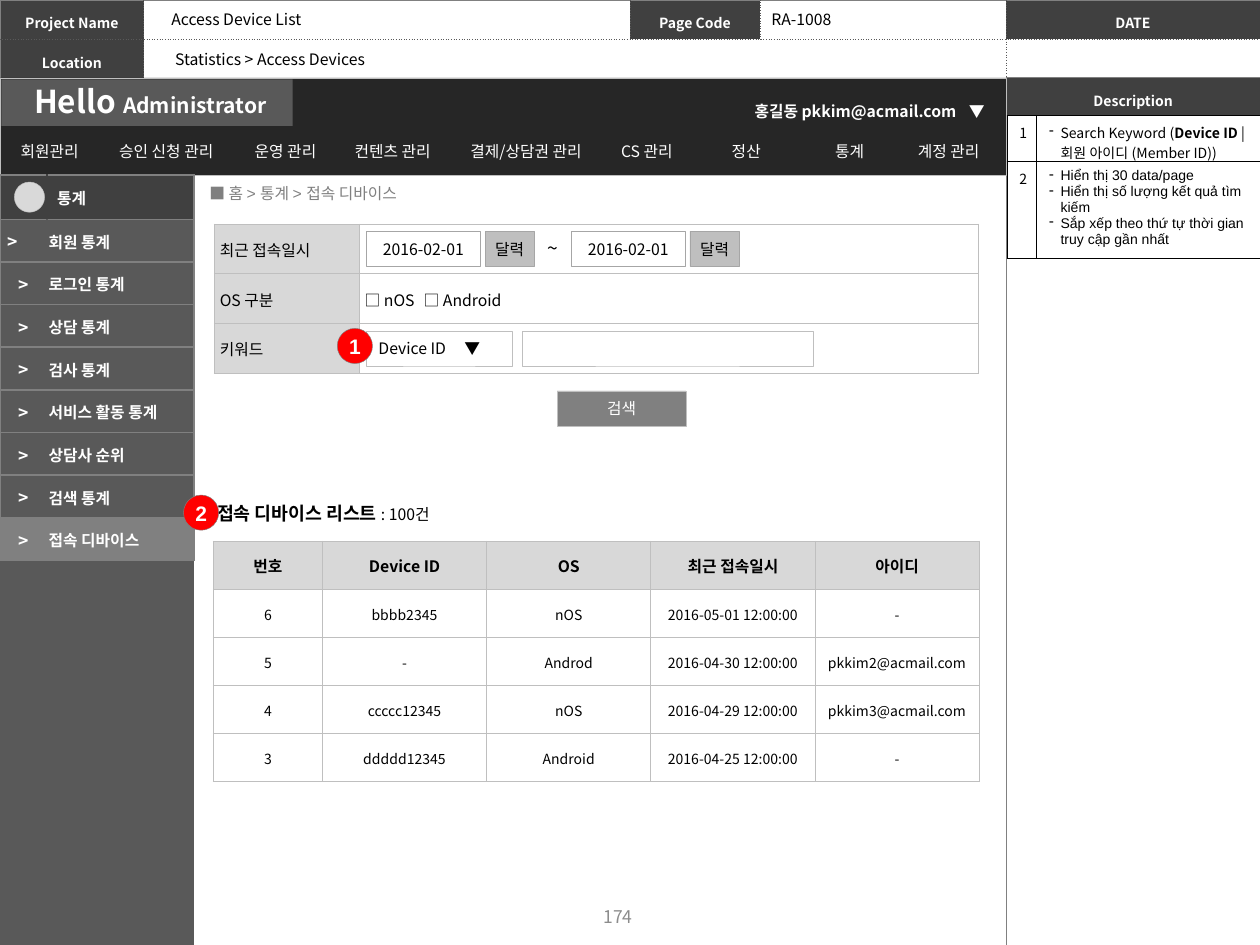
from lxml.etree import SubElement
from pptx import Presentation
from pptx.dml.color import RGBColor
from pptx.enum.shapes import MSO_SHAPE
from pptx.enum.text import MSO_ANCHOR, MSO_AUTO_SIZE, PP_ALIGN
from pptx.oxml.ns import qn
from pptx.util import Cm, Pt

KOREAN = "Noto Sans CJK KR"
WHITE, BLACK, RED = "FFFFFF", "000000", "FF0000"
CHARCOAL, DARK, SLATE, GREY = "262626", "404040", "595959", "808080"
MIDDLE, SILVER, PALE = "A6A6A6", "BFBFBF", "D8D8D8"
SOLID, DOTTED = (GREY, 0.5), (SLATE, 0.5, "sysDot")
LEFT, CENTER = PP_ALIGN.LEFT, PP_ALIGN.CENTER
TIGHT = (0.03, 0.03, 0.03, 0)
INSET = (0.25, 0.13, 0.25, 0.13)


def color(value):
    """Turn a hex string into a colour."""
    return RGBColor.from_string(value)


def write(frame, *paragraphs, size=9, ink=BLACK, bold=False, font=KOREAN,
          align=LEFT, spacing=None, bullet=None, tab=None):
    """Write paragraphs, each a string or a list of (text, bold, size) runs."""
    for index, content in enumerate(paragraphs):
        paragraph = frame.add_paragraph() if index else frame.paragraphs[0]
        properties = paragraph._p.get_or_add_pPr()
        if bullet:
            properties.set("marL", str(Cm(0.23)))
            properties.set("indent", str(-Cm(0.23)))
            SubElement(properties, qn("a:buChar"), char=bullet)
        if tab:
            stops = SubElement(properties, qn("a:tabLst"))
            SubElement(stops, qn("a:tab"), pos=str(Cm(tab)), algn="l")
        paragraph.alignment = align
        if spacing:
            paragraph.line_spacing = spacing
        if not content:
            SubElement(paragraph._p, qn("a:endParaRPr"), sz=str(size * 100))
            continue
        runs = [(content, bold, size)] if isinstance(content, str) else content
        for text, run_bold, run_size in runs:
            run = paragraph.add_run()
            run.text = text
            run.font.name, run.font.size, run.font.bold = font, Pt(run_size), run_bold
            run.font.color.rgb = color(ink)
            SubElement(run._r.get_or_add_rPr(), qn("a:ea"), typeface=KOREAN)


def set_margins(target, margins):
    """Set the left, top, right and bottom margins in centimetres."""
    (target.margin_left, target.margin_top,
     target.margin_right, target.margin_bottom) = map(Cm, margins)


def add_text(slide, left, top, width, height, *paragraphs, wrap=False,
             anchor=MSO_ANCHOR.TOP, margins=INSET, **format):
    """Add a text box."""
    shape = slide.shapes.add_textbox(Cm(left), Cm(top), Cm(width), Cm(height))
    frame = shape.text_frame
    frame.word_wrap = wrap
    frame.auto_size = MSO_AUTO_SIZE.NONE if wrap else MSO_AUTO_SIZE.SHAPE_TO_FIT_TEXT
    frame.vertical_anchor = anchor
    set_margins(frame, margins)
    write(frame, *paragraphs, **format)


def add_box(slide, left, top, width, height, fill, line=None, text="",
            kind=MSO_SHAPE.RECTANGLE, wrap=False, **format):
    """Add a filled preset shape with optional text."""
    shape = slide.shapes.add_shape(kind, Cm(left), Cm(top), Cm(width), Cm(height))
    shape.shadow.inherit = False
    shape.fill.solid()
    shape.fill.fore_color.rgb = color(fill)
    if line:
        shape.line.color.rgb = color(line)
        shape.line.width = Pt(0.25)
    else:
        shape.line.fill.background()
    if text:
        shape.text_frame.word_wrap = wrap
        shape.text_frame.vertical_anchor = MSO_ANCHOR.MIDDLE
        write(shape.text_frame, text, **{"align": CENTER, **format})


def add_badge(slide, left, top, number):
    """Add a numbered red circle."""
    add_box(slide, left, top, 0.71, 0.71, RED, GREY, number, MSO_SHAPE.OVAL,
            size=12, ink=WHITE, bold=True, font="Arial")


def add_table(slide, left, top, widths, heights):
    """Add a plain table with the given column widths and row heights."""
    table = slide.shapes.add_table(len(heights), len(widths), Cm(left), Cm(top),
                                   Cm(sum(widths)), Cm(sum(heights))).table
    table.first_row = table.horz_banding = False
    for column, width in zip(table.columns, widths):
        column.width = Cm(width)
    for row, height in zip(table.rows, heights):
        row.height = Cm(height)
    return table


def fill_cell(cell, *paragraphs, borders, fill=None, margins=TIGHT,
              anchor=MSO_ANCHOR.MIDDLE, **format):
    """Format a cell; borders run left, right, top, bottom."""
    set_margins(cell, margins)
    cell.vertical_anchor = anchor
    properties = cell._tc.get_or_add_tcPr()
    for side, (ink, width, *dash) in zip("LRTB", borders):
        line = SubElement(properties, qn("a:ln" + side), w=str(Pt(width)))
        SubElement(SubElement(line, qn("a:solidFill")), qn("a:srgbClr"), val=ink)
        SubElement(line, qn("a:prstDash"), val=dash[0] if dash else "solid")
    if fill:
        cell.fill.solid()
        cell.fill.fore_color.rgb = color(fill)
    else:
        cell.fill.background()
    write(cell.text_frame, *paragraphs, **format)


def add_form_table(slide, left, top, widths, heights, rows):
    """Add a table with solid outer and dotted inner borders and dark labels."""
    table = add_table(slide, left, top, widths, heights)
    last_row, last_column = len(heights) - 1, len(widths) - 1
    for r, row in enumerate(rows):
        for c, text in enumerate(row):
            outer = (c == 0, c == last_column, r == 0, r == last_row)
            fill_cell(table.cell(r, c), text, borders=[SOLID if edge else DOTTED for edge in outer],
                      fill=DARK if text else None, margins=(0.1,) * 4, size=8,
                      ink=WHITE, bold=True, align=CENTER, spacing=1.3)
    return table


def add_header(slide):
    """Add the page frame, the banner and the main menu."""
    table = add_form_table(slide, 0, 0, [2.9, 9.8, 2.62, 4.96, 5.12], [0.79, 0.79],
                           [["Project Name", "", "Page Code", "", "DATE"],
                            ["Location", "", "", "", ""]])
    table.cell(1, 1).merge(table.cell(1, 3))
    add_form_table(slide, 20.29, 1.57, [5.11], [0.79, 16.69], [["Description"], [""]])
    add_box(slide, 0, 1.57, 20.29, 1.96, CHARCOAL, SILVER)
    add_box(slide, 0.03, 1.6, 5.87, 0.94, SLATE)
    add_text(slide, 0.44, 1.52, 5.31, 1.02,
             [("Hello ", True, 18), ("Administrator", True, 12)], ink=WHITE)
    menu = ["회원관리", "승인 신청 관리", "운영 관리", "컨텐츠 관리", "결제/상담권 관리",
            "CS 관리", "정산", "통계", "계정 관리"]
    table = add_table(slide, 0.05, 2.64,
                      [1.9, 2.8, 2.01, 2.31, 3.07, 1.8, 2.21, 1.96, 2.03], [0.79])
    for cell, text in zip(table.rows[0].cells, menu):
        fill_cell(cell, text, borders=[(CHARCOAL, 1)] * 4, margins=INSET,
                  ink=WHITE, align=CENTER)
    add_text(slide, 14.78, 1.85, 4.93, 0.66, "홍길동 pkkim@acmail.com",
             margins=(0, 0.13, 0, 0.13), ink=WHITE, bold=True, align=CENTER, spacing=1.2)
    add_text(slide, 19.28, 1.85, 0.84, 0.66, "▼", ink=WHITE, bold=True, spacing=1.2)
    add_text(slide, 15.3, 0.07, 1.75, 0.64, "RA-1008")
    add_text(slide, 3.28, 0.87, 4.37, 0.64, "Statistics > Access Devices")


def add_search_form(slide):
    """Add the search conditions and the search button."""
    borders = [(SILVER, 0.5)] * 4
    table = add_table(slide, 4.32, 4.52, [2.92, 12.48], [1] * 3)
    choices = ["", "□ nOS\t□ Android", ""]
    for row, label, choice in zip(table.rows, ["최근 접속일시", "OS 구분", "키워드"], choices):
        fill_cell(row.cells[0], label, borders=borders, fill=PALE, margins=(0.11, 0.03, 0.03, 0))
        fill_cell(row.cells[1], choice, borders=borders, margins=(0.11, 0.03, 0.03, 0), tab=1.19)
    for left in (7.38, 11.51):
        add_box(slide, left, 4.66, 2.31, 0.71, WHITE, MIDDLE, "2016-02-01")
        add_box(slide, left + 2.4, 4.66, 0.99, 0.71, SILVER, MIDDLE, "달력")
    add_text(slide, 10.78, 4.64, 0.79, 0.74, "~", size=11)
    add_box(slide, 10.52, 6.67, 5.87, 0.71, WHITE, SILVER)
    add_box(slide, 7.38, 6.67, 2.95, 0.71, WHITE, SILVER, "Device ID\t▼",
            wrap=True, align=LEFT, tab=1.73)
    add_badge(slide, 6.8, 6.62, "1")
    add_box(slide, 11.23, 7.88, 2.6, 0.71, GREY, SILVER, "검색", ink=WHITE)


def add_device_list(slide):
    """Add the list heading and the table of devices."""
    add_text(slide, 4.13, 9.99, 5.31, 0.71,
             [("접속 디바이스 리스트 ", True, 10.5), (": 100건", False, 9)])
    rows = [["번호", "Device ID", "OS", "최근 접속일시", "아이디"],
            ["6", "bbbb2345", "nOS", "2016-05-01 12:00:00", "-"],
            ["5", "-", "Androd", "2016-04-30 12:00:00", "pkkim2@acmail.com"],
            ["4", "ccccc12345", "nOS", "2016-04-29 12:00:00", "pkkim3@acmail.com"],
            ["3", "ddddd12345", "Android", "2016-04-25 12:00:00", "-"]]
    table = add_table(slide, 4.3, 10.91, [2.2] + [3.31] * 4, [0.97] * 5)
    for r, row in enumerate(rows):
        for c, text in enumerate(row):
            fill_cell(table.cell(r, c), text, borders=[(SILVER, 0.5)] * 4,
                      fill=WHITE if r else PALE, size=8 if r else 9, bold=r == 0, align=CENTER)


def add_sidebar(slide):
    """Add the side menu with its current entry highlighted."""
    add_box(slide, 0, 3.51, 3.91, 15.54, SLATE)
    entries = ["통계", "회원 통계", "로그인 통계", "상담 통계", "검사 통계", "서비스 활동 통계",
               "상담사 순위", "검색 통계", "접속 디바이스"]
    table = add_table(slide, 0, 3.53, [0.95, 2.96], [0.89] + [0.86] * 8)
    last = len(entries) - 1
    edge = (GREY, 1)
    for r, text in enumerate(entries):
        fill = {0: DARK, last: GREY}.get(r, SLATE)
        inner = (fill, 1)
        fill_cell(table.cell(r, 0), ">" if r else "", borders=[edge, inner, edge, edge],
                  fill=fill, margins=(0.03, 0.03, 0.47 if r == 1 else 0.03, 0),
                  size=10, ink=WHITE, bold=True, align=CENTER)
        fill_cell(table.cell(r, 1), text, borders=[inner, edge, edge, edge], fill=fill,
                  margins=(0.03 if r else 0.2, 0.03, 0.03, 0), ink=WHITE, bold=True)
    add_box(slide, 0.29, 3.67, 0.61, 0.61, "D9D9D9", SILVER, kind=MSO_SHAPE.OVAL)


def add_description(slide):
    """Add the numbered remarks on the right."""
    table = add_table(slide, 20.3, 2.33, [0.6, 4.5], [0.93, 1.95])
    remarks = [[[("Search Keyword (", False, 8), ("Device ID", True, 8),
                 (" | 회원 아이디 (Member ID))", False, 8)]],
               ["Hiển thị 30 data/page", "Hiển thị số lượng kết quả tìm kiếm",
                "Sắp xếp theo thứ tự thời gian truy cập gần nhất"]]
    look = {"borders": [(BLACK, 0.5)] * 4, "fill": WHITE, "size": 8,
            "margins": (0.25, 0.13, 0.25, 0), "anchor": MSO_ANCHOR.TOP}
    for r, (paragraphs, font) in enumerate(zip(remarks, (KOREAN, "Arial"))):
        fill_cell(table.cell(r, 0), str(r + 1), **look)
        fill_cell(table.cell(r, 1), *paragraphs, bullet="-", font=font, **look)


def main():
    """Build the slide and save it."""
    presentation = Presentation()
    presentation.slide_width, presentation.slide_height = Cm(25.4), Cm(19.05)
    slide = presentation.slides.add_slide(presentation.slide_layouts[5])
    title = slide.shapes.title
    title.left, title.top, title.width, title.height = Cm(3.2), Cm(0.06), Cm(4), Cm(0.64)
    title.text_frame.vertical_anchor = MSO_ANCHOR.TOP
    write(title.text_frame, "Access Device List")
    add_header(slide)
    add_text(slide, 3.7, 3.47, 15.8, 0.86, "■ 홈 > 통계 > 접속 디바이스", wrap=True,
             anchor=MSO_ANCHOR.MIDDLE, margins=(0.52, 0.13, 0.25, 0.13), ink=GREY, font="Arial")
    add_search_form(slide)
    add_sidebar(slide)
    add_device_list(slide)
    add_description(slide)
    add_badge(slide, 3.7, 9.98, "2")
    add_text(slide, 9.5, 17.97, 5.92, 1.02, "174", wrap=True, anchor=MSO_ANCHOR.MIDDLE,
             size=10, ink="8C8C8C", align=CENTER)
    presentation.save("out.pptx")


if __name__ == "__main__":
    main()
